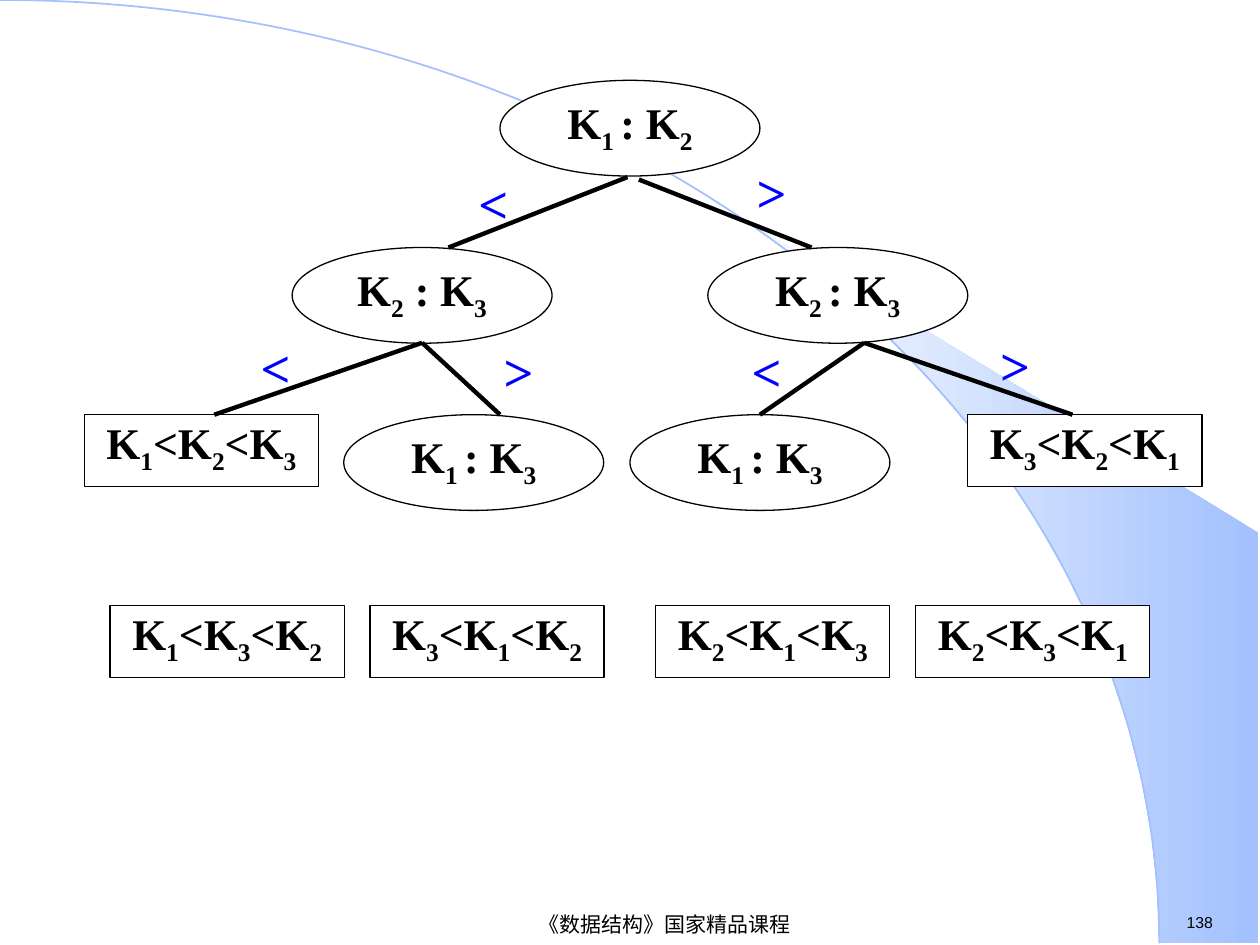
import math

from lxml import etree
from pptx import Presentation
from pptx.dml.color import RGBColor
from pptx.enum import shapes, text
from pptx.oxml.ns import qn
from pptx.util import Cm, Pt

BLACK = RGBColor(0x00, 0x00, 0x00)
WHITE = RGBColor(0xFF, 0xFF, 0xFF)
BLUE = RGBColor(0x00, 0x00, 0xFF)
SKY = RGBColor(0xA2, 0xC1, 0xFE)
PALE = RGBColor(0xFE, 0xFE, 0xFE)

SERIF, SANS = "Times New Roman", "Arial"
ELLIPSE, RECTANGLE = shapes.MSO_SHAPE.OVAL, shapes.MSO_SHAPE.RECTANGLE
NODE_SIZE = {ELLIPSE: (5.24, 1.93), RECTANGLE: (4.72, 1.45)}
SIGN_SIZE = (2.11, 1.52)
LEVEL = 3.37  # distance between the tops of two tree levels


def format_run(run, font_name, size, color, bold=False):
    run.font.name = font_name
    run.font.size = Pt(size)
    run.font.bold = bold
    run.font.color.rgb = color


def add_node(slide, kind, left, top, label):
    """Add a white node; every second part of the label, split at |, is a subscript."""
    width, height = NODE_SIZE[kind]
    shape = slide.shapes.add_shape(kind, Cm(left), Cm(top), Cm(width), Cm(height))
    shape.shadow.inherit = False
    shape.fill.solid()
    shape.fill.fore_color.rgb = WHITE
    shape.line.color.rgb = BLACK
    shape.line.width = Pt(0.75)
    frame = shape.text_frame
    frame.word_wrap = True
    frame.vertical_anchor = text.MSO_ANCHOR.TOP
    frame.margin_left = frame.margin_right = Cm(0.05)
    frame.margin_top = frame.margin_bottom = Cm(0.03)
    paragraph = frame.paragraphs[0]
    paragraph.alignment = text.PP_ALIGN.CENTER
    for index, part in enumerate(label.split("|")):
        run = paragraph.add_run()
        run.text = part
        format_run(run, SERIF, 25, BLACK, bold=True)
        if index % 2:
            run.font._element.set("baseline", "-25000")


def add_label(slide, box, label, font_name, size, color, bold=False,
              alignment=text.PP_ALIGN.CENTER, anchor=text.MSO_ANCHOR.TOP):
    shape = slide.shapes.add_textbox(*map(Cm, box))
    frame = shape.text_frame
    frame.word_wrap = True
    frame.vertical_anchor = anchor
    frame.text = label
    paragraph = frame.paragraphs[0]
    paragraph.alignment = alignment
    format_run(paragraph.runs[0], font_name, size, color, bold)


def add_branch(slide, start, end):
    line = slide.shapes.add_connector(
        shapes.MSO_CONNECTOR.STRAIGHT, *map(Cm, (*start, *end)))
    line.line.color.rgb = BLACK
    line.line.width = Pt(2.5)
    etree.SubElement(line._element.spPr, qn("a:effectLst"))


def add_background(slide, left, top, width, height):
    """Add the quarter ellipse and the shaded band to the right of it."""
    radius, steps = 23.37, 15

    # Shaded band, whose left edge follows the curve
    angles = [math.radians(40 + 50 * step / steps) for step in range(steps + 1)]
    points = [(left + radius * math.sin(angle), top + height * (1 - math.cos(angle)))
              for angle in angles]
    points += [(left + width, top + height), (left + width, top + 10.74)]
    points = [(Cm(x), Cm(y)) for x, y in points]
    builder = slide.shapes.build_freeform(*points[0], scale=1.0)
    builder.add_line_segments(points[1:], close=True)
    band = builder.convert_to_shape()
    band.shadow.inherit = False
    band.line.fill.background()
    band.fill.gradient()
    band.fill.gradient_angle = 180
    for stop, color in zip(band.fill.gradient_stops, (SKY, PALE)):
        stop.color.rgb = color

    # Curve
    curve = slide.shapes.add_shape(
        shapes.MSO_SHAPE.ARC, Cm(left - radius), Cm(top), Cm(2 * radius), Cm(2 * height))
    curve.shadow.inherit = False
    curve.fill.background()
    curve.line.color.rgb = SKY
    curve.line.width = Pt(1)


def add_decision_tree(slide, left, top):
    # Comparisons and the two outer results: kind, offset, level, label
    nodes = [
        (ELLIPSE, 8.38, 0, "K|1 |: K|2"),
        (ELLIPSE, 4.19, 1, "K|2| : K|3"),
        (ELLIPSE, 12.57, 1, "K|2 |: K|3"),
        (ELLIPSE, 5.23, 2, "K|1 |: K|3"),
        (ELLIPSE, 11, 2, "K|1 |: K|3"),
        (RECTANGLE, 0, 2, "K|1|<K|2|<K|3"),
        (RECTANGLE, 17.81, 2, "K|3|<K|2|<K|1"),
    ]
    for kind, x, level, label in nodes:
        add_node(slide, kind, left + x, top + level * LEVEL, label)

    # Branches: start point, end offset, end level
    branches = [
        (6.81, 5.29, 2.62, 2), (6.81, 5.29, 8.38, 2),
        (15.72, 5.29, 13.62, 2), (15.72, 5.29, 19.92, 2),
        (10.95, 1.95, 7.34, 1), (11.18, 2, 14.66, 1),
    ]
    for x, y, end_x, level in branches:
        add_branch(slide, (left + x, top + y), (left + end_x, top + level * LEVEL))

    # Signs beside the branches
    signs = {
        "<": [(7.19, 1.7), (2.8, 5), (12.7, 5.1)],
        ">": [(12.8, 1.49), (17.71, 4.97), (7.7, 5.1)],
    }
    for sign, places in signs.items():
        for x, y in places:
            add_label(slide, (left + x, top + y, *SIGN_SIZE), sign,
                      SERIF, 30, BLUE, bold=True)


def add_result_row(slide, left, top):
    pair_step, step = 11, 5.24
    labels = ["K|1|<K|3|<K|2", "K|3|<K|1|<K|2", "K|2|<K|1|<K|3", "K|2|<K|3|<K|1"]
    for index, label in enumerate(labels):
        pair, place = divmod(index, 2)
        add_node(slide, RECTANGLE, left + pair * pair_step + place * step, top, label)


def add_footer(slide, left, top):
    # Page number and course name
    add_label(slide, (left + 17.57, top, 1.96, 0.64), "138",
              SANS, 9, BLACK, alignment=text.PP_ALIGN.LEFT)
    add_label(slide, (left, top + 0.05, 14.6, 0.61), "《数据结构》国家精品课程",
              SANS, 12, BLACK, anchor=text.MSO_ANCHOR.MIDDLE)


def main():
    presentation = Presentation()
    presentation.slide_width, presentation.slide_height = Cm(25.4), Cm(19.05)
    slide = presentation.slides.add_slide(presentation.slide_layouts[6])
    add_background(slide, 0, 0, 25.37, 19.02)
    add_footer(slide, 6.1, 18.27)
    add_decision_tree(slide, 1.7, 1.62)
    add_result_row(slide, 2.22, 12.21)
    presentation.save("out.pptx")


if __name__ == "__main__":
    main()
